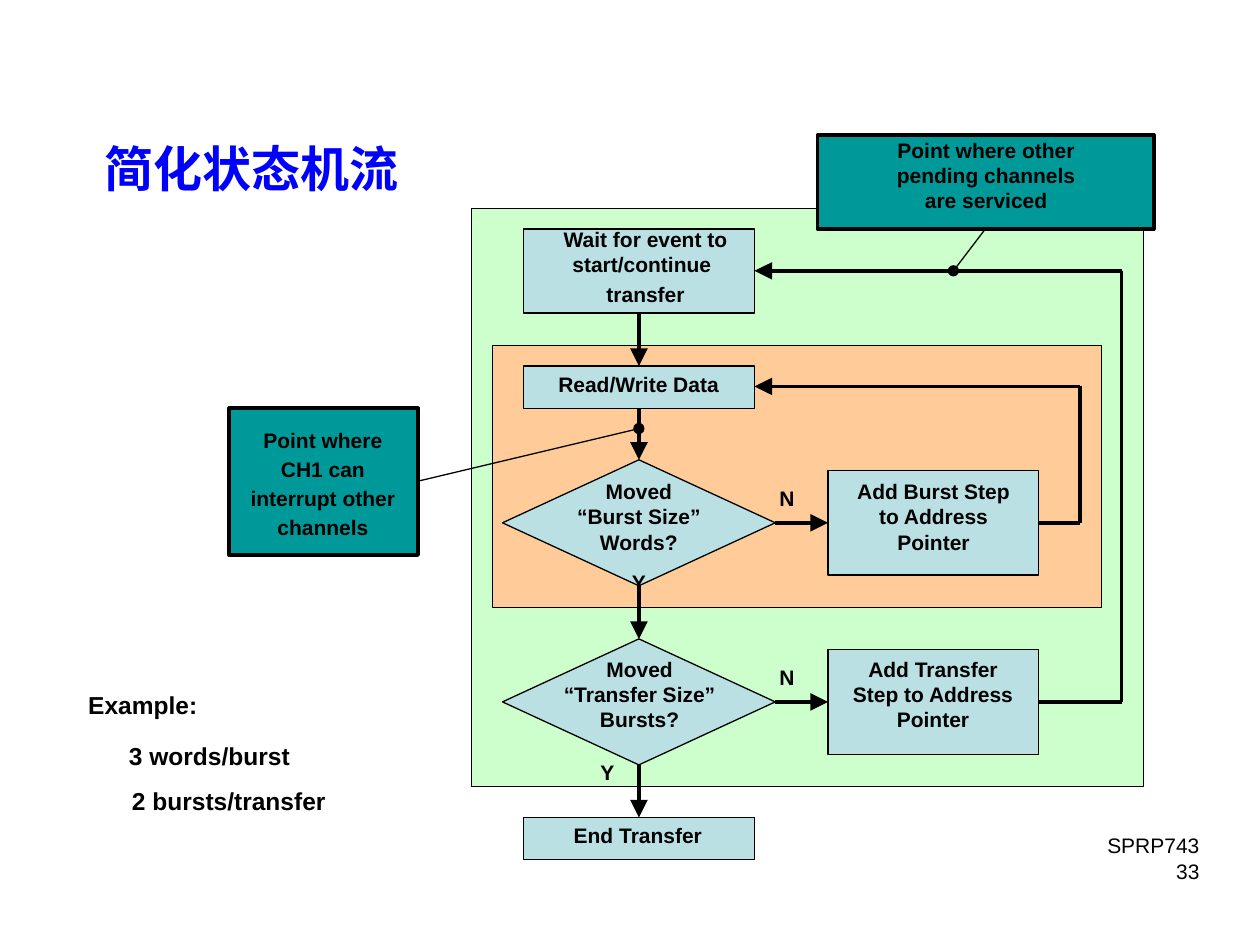
import itertools

import pptx
import pptx.dml.color
import pptx.enum.shapes
import pptx.enum.text
import pptx.oxml.ns
import pptx.util
from lxml import etree

Cm = pptx.util.Cm
Pt = pptx.util.Pt
Shapes = pptx.enum.shapes.MSO_SHAPE
Align = pptx.enum.text.PP_ALIGN

BLACK, BLUE = "000000", "0000FF"
GREEN, ORANGE, PALE, TEAL = "CCFFCC", "FFCC99", "BBE0E3", "009999"


def color(value):
    return pptx.dml.color.RGBColor.from_string(value)


def lengths(values):
    return [Cm(value) for value in values]


class Flowchart:
    font = {"name": "Arial", "size": Pt(12), "bold": True}

    def __init__(self, slide):
        self.slide = slide

    def block(self, kind, box, fill, line_width=0.75):
        """Draw a filled and outlined preset shape."""
        shape = self.slide.shapes.add_shape(kind, *lengths(box))
        shape.shadow.inherit = False
        shape.fill.solid()
        shape.fill.fore_color.rgb = color(fill)
        shape.line.color.rgb = color(BLACK)
        shape.line.width = Pt(line_width)

    def label(self, box, *texts, align=Align.CENTER, text_color=BLACK,
              formats=None, first_indent=0, **font):
        """Write one paragraph per text; formats holds a dict for each."""
        shape = self.slide.shapes.add_textbox(*lengths(box))
        frame = shape.text_frame
        frame.word_wrap = True
        for side in ("left", "top", "right", "bottom"):
            setattr(frame, f"margin_{side}", 0)
        formats = formats or [{}] * len(texts)
        for index, (text, layout) in enumerate(zip(texts, formats)):
            paragraph = frame.add_paragraph() if index else frame.paragraphs[0]
            paragraph.alignment = align
            for name, value in layout.items():
                setattr(paragraph, name, value)
            if first_indent:
                properties = paragraph._p.get_or_add_pPr()
                properties.set("indent", str(Cm(first_indent)))
            run = paragraph.add_run()
            run.text = text
            for name, value in {**self.font, **font}.items():
                setattr(run.font, name, value)
            run.font.color.rgb = color(text_color)

    def line(self, start, end, width=2, arrow=False):
        """Draw a straight connector, with a large arrowhead if asked."""
        connector = self.slide.shapes.add_connector(
            pptx.enum.shapes.MSO_CONNECTOR.STRAIGHT, *lengths(start + end))
        connector.line.color.rgb = color(BLACK)
        connector.line.width = Pt(width)
        if arrow:
            etree.SubElement(connector.line._get_or_add_ln(),
                             pptx.oxml.ns.qn("a:tailEnd"),
                             type="triangle", w="lg", len="lg")
        etree.SubElement(connector._element.spPr,
                         pptx.oxml.ns.qn("a:effectLst"))

    def route(self, *points):
        """Join the points with lines; the last one carries the arrowhead."""
        for start, end in itertools.pairwise(points):
            self.line(start, end, arrow=end == points[-1])

    def pointer(self, start, end, size=0.2):
        """Draw a thin line that ends in a dot."""
        self.line(start, end, width=0.75)
        x, y = end
        self.block(Shapes.OVAL, (x - size / 2, y - size / 2, size, size), BLACK)


def main():
    presentation = pptx.Presentation()
    presentation.slide_width = Cm(25.4)
    presentation.slide_height = Cm(19.05)
    slide = presentation.slides.add_slide(presentation.slide_layouts[6])
    chart = Flowchart(slide)

    # Columns and rows of the flow
    node_left, node_width = 10.55, 4.66
    center, node_right = node_left + node_width / 2, node_left + node_width
    diamond_left, diamond_width, diamond_height = 10.13, 5.5, 2.54
    diamond_right = diamond_left + diamond_width
    step_left, step_width, step_height = 16.69, 4.24, 2.11
    step_right = step_left + step_width
    burst_y, transfer_y = 10.54, 14.15

    # Nested loop regions
    chart.block(Shapes.RECTANGLE, (9.5, 4.2, 13.55, 11.65), GREEN)
    chart.block(Shapes.RECTANGLE, (9.92, 6.96, 12.28, 5.29), ORANGE, 0.5)

    # Process boxes, decisions and address steps
    for top, height in ((4.62, 1.69), (7.38, 0.85), (16.48, 0.85)):
        chart.block(Shapes.RECTANGLE,
                    (node_left, top, node_width, height), PALE)
    for middle in (burst_y, transfer_y):
        chart.block(Shapes.DIAMOND,
                    (diamond_left, middle - diamond_height / 2,
                     diamond_width, diamond_height), PALE)
        chart.block(Shapes.RECTANGLE,
                    (step_left, middle - step_height / 2,
                     step_width, step_height), PALE)
        chart.route((diamond_right, middle), (step_left, middle))
        chart.label((15.65, middle - 0.75, 0.43, 0.64), "N")

    # Downward flow
    for top, bottom in ((6.31, 7.38), (8.23, 9.27),
                        (11.81, 12.88), (15.42, 16.48)):
        chart.route((center, top), (center, bottom))

    # Return loops
    for middle, turn_x, target_y in ((burst_y, 21.77, 7.79),
                                     (transfer_y, 22.61, 5.46)):
        chart.route((step_right, middle), (turn_x, middle),
                    (turn_x, target_y), (node_right, target_y))

    # Callouts
    chart.block(Shapes.RECTANGLE, (16.48, 2.72, 6.78, 1.9), TEAL, 2)
    chart.block(Shapes.RECTANGLE, (4.62, 8.23, 3.81, 2.96), TEAL, 2)
    chart.pointer((19.86, 4.62), (19.22, 5.46))
    chart.pointer((8.43, 9.7), (center, 8.64))

    # Flow labels
    loose = {"line_spacing": Pt(16.7)}
    chart.label((11.15, 4.57, 3.58, 1.8), "Wait for event to start/continue",
                "transfer", formats=[{}, loose], first_indent=0.15)
    chart.label((11.56, 9.65, 2.64, 2.69), "Moved “Burst Size” Words?", "Y",
                formats=[{}, {"space_before": Pt(8.5)}])
    chart.label((4.95, 8.53, 3.12, 2.36),
                "Point where CH1 can interrupt other channels", formats=[loose])
    for box, text in (
        ((11.02, 7.49, 3.71, 0.64), "Read/Write Data"),
        ((17.12, 9.65, 3.4, 1.8), "Add Burst Step to Address Pointer"),
        ((17.02, 13.23, 3.58, 1.8), "Add Transfer Step to Address Pointer"),
        ((11.23, 13.23, 3.33, 1.8), "Moved “Transfer Size” Bursts?"),
        ((12.04, 15.32, 0.41, 0.64), "Y"),
        ((11.4, 16.59, 2.92, 0.64), "End Transfer"),
        ((17.91, 2.77, 3.94, 1.8),
         "Point where other pending channels are serviced"),
    ):
        chart.label(box, text)

    # Title
    chart.label((2.11, 2.46, 7.77, 1.93), "简化状态机流", align=Align.LEFT,
                text_color=BLUE, formats=[{"line_spacing": Pt(43.1)}],
                name="Roboto", size=Pt(28))

    # Example
    chart.label((0.3, 13.92, 5.16, 0.99), "Example:", size=Pt(14))
    chart.label((2.6, 14.94, 3.35, 0.79), "3 words/burst",
                align=Align.LEFT, size=Pt(14))
    chart.label((2.29, 15.85, 4.65, 0.79), "2 bursts/transfer", size=Pt(14))

    # Document number and page
    chart.label((22, 16.79, 2.18, 0.61), "SPRP743 33",
                align=Align.RIGHT, bold=False)

    presentation.save("out.pptx")


if __name__ == "__main__":
    main()
